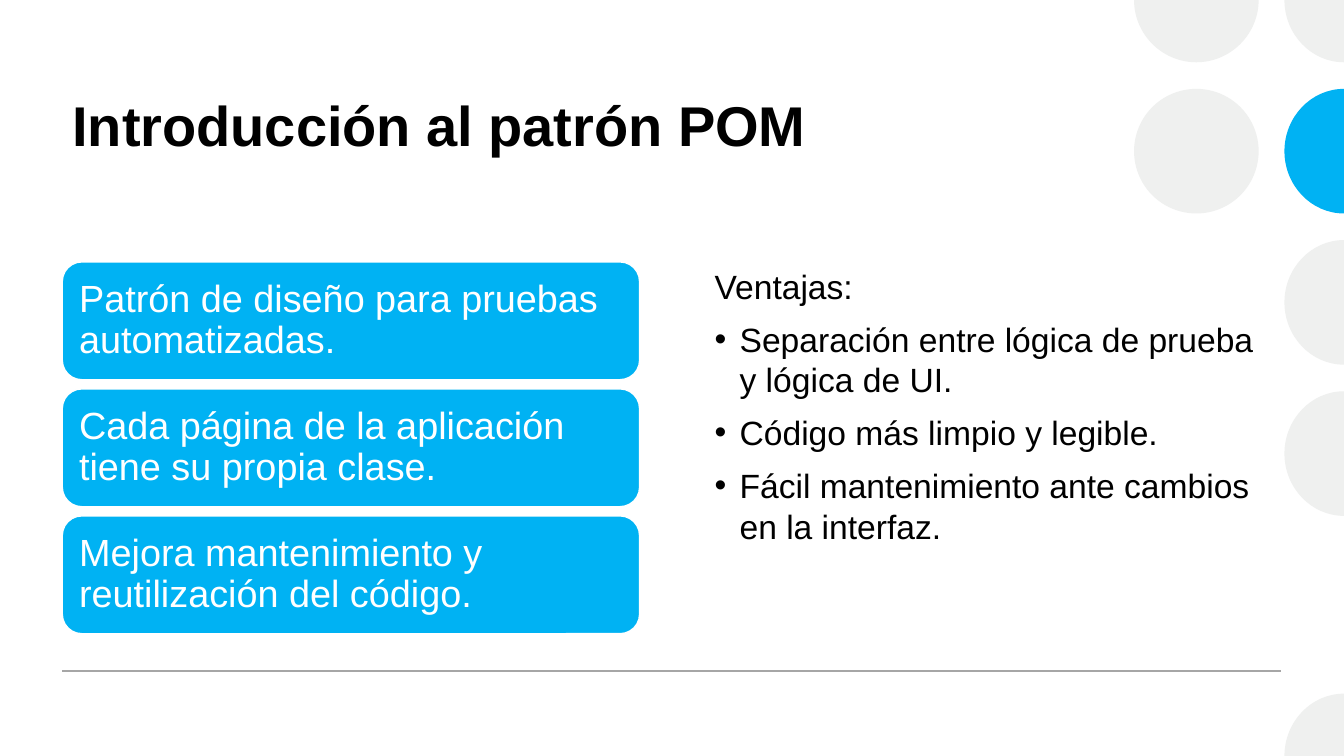
from lxml import etree
from pptx import Presentation
from pptx.dml.color import RGBColor
from pptx.enum.shapes import MSO_CONNECTOR, MSO_SHAPE
from pptx.enum.text import MSO_ANCHOR, MSO_AUTO_SIZE, PP_ALIGN
from pptx.oxml.ns import qn
from pptx.util import Cm, Pt

STRAIGHT = MSO_CONNECTOR.STRAIGHT
OVAL, ROUNDED = MSO_SHAPE.OVAL, MSO_SHAPE.ROUNDED_RECTANGLE
TOP, MIDDLE = MSO_ANCHOR.TOP, MSO_ANCHOR.MIDDLE
NO_AUTOFIT, LEFT = MSO_AUTO_SIZE.NONE, PP_ALIGN.LEFT

WIDTH, HEIGHT = 33.87, 19.05
BLACK, WHITE = "000000", "FFFFFF"
BLUE, PALE, GREY = "00B2F3", "EFF0EF", "A6A6A6"
LEFT_EDGE = 1.57
RADIUS, EDGE_RADIUS, ROW_PITCH = 1.57, 1.5, 3.81
INNER_COLUMN = 30.15
ARC_FACTOR = 0.55
UP, DOWN, LEFTWARD, RIGHTWARD = (0, -1), (0, 1), (-1, 0), (1, 0)

CARDS = [
    "Patrón de diseño para pruebas automatizadas.",
    "Cada página de la aplicación tiene su propia clase.",
    "Mejora mantenimiento y reutilización del código.",
]
ADVANTAGES = [
    "Separación entre lógica de prueba y lógica de UI.",
    "Código más limpio y legible.",
    "Fácil mantenimiento ante cambios en la interfaz.",
]


def rgb(hex_colour):
    """Return the colour for a hex string."""
    return RGBColor.from_string(hex_colour)


def apply_format(target, values):
    """Set each attribute in values on target."""
    for attribute, value in values.items():
        setattr(target, attribute, value)


def paint(shape, colour):
    """Give a shape a flat fill with no outline or shadow."""
    shape.shadow.inherit = False
    shape.fill.solid()
    shape.fill.fore_color.rgb = rgb(colour)
    shape.line.fill.background()


def write_paragraph(paragraph, text, size, colour, bold=False, **spacing):
    """Write one left-aligned paragraph in Arial."""
    paragraph.text = text
    apply_format(paragraph, {"alignment": LEFT, **spacing})
    apply_format(paragraph.font, {"name": "Arial", "size": Pt(size), "bold": bold})
    paragraph.font.color.rgb = rgb(colour)


def add_bullet(paragraph):
    """Give a paragraph a hanging round bullet."""
    properties = paragraph._p.get_or_add_pPr()
    properties.set("marL", str(Cm(0.63)))
    properties.set("indent", str(-Cm(0.63)))
    etree.SubElement(properties, qn("a:buFont")).set("typeface", "Arial")
    etree.SubElement(properties, qn("a:buChar")).set("char", "•")


def curve_lines(shape):
    """Turn each three line segments of a freeform into one Bézier curve."""
    segments = list(shape._element.iter(qn("a:lnTo")))
    for start in range(0, len(segments) - 1, 3):
        curve = etree.Element(qn("a:cubicBezTo"))
        segments[start].addprevious(curve)
        for segment in segments[start:start + 3]:
            curve.append(segment[0])
            segment.getparent().remove(segment)


def add_sector(slide, centre, radii, directions, colour):
    """Draw quarter arcs through the given directions, closed at the centre."""
    def point(across, down):
        return (Cm(centre[0] + radii[0] * across), Cm(centre[1] + radii[1] * down))

    outline = slide.shapes.build_freeform(*point(*directions[0]), scale=1.0)
    for (ax, ay), (bx, by) in zip(directions, directions[1:]):
        outline.add_line_segments([
            point(ax + ARC_FACTOR * bx, ay + ARC_FACTOR * by),
            point(bx + ARC_FACTOR * ax, by + ARC_FACTOR * ay),
            point(bx, by),
        ], close=False)
    outline.add_line_segments([point(0, 0)], close=True)
    sector = outline.convert_to_shape()
    curve_lines(sector)
    paint(sector, colour)


def add_circles(slide):
    """Draw the decorative grid of circles at the right edge."""
    whole = slide.shapes.add_shape(
        OVAL, Cm(INNER_COLUMN - RADIUS), Cm(ROW_PITCH - RADIUS),
        Cm(2 * RADIUS), Cm(2 * RADIUS))
    paint(whole, PALE)
    add_sector(slide, (INNER_COLUMN, 0), (RADIUS, RADIUS),
               (LEFTWARD, DOWN, RIGHTWARD), PALE)
    half = (UP, LEFTWARD, DOWN)
    edge_rows = {5: (half[:2], PALE), 3: (half, PALE), 2: (half, PALE),
                 1: (half, BLUE), 0: (half[1:], PALE)}
    for row, (directions, colour) in edge_rows.items():
        add_sector(slide, (WIDTH, row * ROW_PITCH), (EDGE_RADIUS, RADIUS),
                   directions, colour)


def add_footer_rule(slide):
    """Draw the thin line above the footer."""
    rule = slide.shapes.add_connector(
        STRAIGHT, Cm(LEFT_EDGE), Cm(16.91), Cm(32.28), Cm(16.91))
    rule.line.color.rgb = rgb(GREY)
    rule.line.width = Pt(1)
    etree.SubElement(rule._element.spPr, qn("a:effectLst"))


def set_title(slide, text):
    """Place and format the title placeholder."""
    title = slide.shapes.title
    apply_format(title, {"left": Cm(LEFT_EDGE), "top": Cm(2.13),
                         "width": Cm(20.37), "height": Cm(3.53)})
    apply_format(title.text_frame, {"vertical_anchor": TOP, "word_wrap": True,
                                    "auto_size": NO_AUTOFIT, "margin_top": Cm(0.15)})
    write_paragraph(title.text_frame.paragraphs[0], text, 40, BLACK, bold=True)


def add_card(slide, index, text):
    """Add one rounded card of the left column."""
    card = slide.shapes.add_shape(
        ROUNDED, Cm(LEFT_EDGE), Cm(6.6 + index * 3.2), Cm(14.55), Cm(2.97))
    paint(card, BLUE)
    card.line.color.rgb = rgb(WHITE)
    card.line.width = Pt(1)
    margins = {f"margin_{side}": Cm(0.28) for side in ("left", "top", "right", "bottom")}
    apply_format(card.text_frame,
                 {"word_wrap": True, "vertical_anchor": MIDDLE, **margins})
    write_paragraph(card.text_frame.paragraphs[0], text, 27, WHITE, line_spacing=0.9)


def add_advantages(slide, heading, advantages):
    """Add the heading and bulleted list of the right column."""
    box = slide.shapes.add_textbox(Cm(17.76), Cm(6.58), Cm(14.55), Cm(9.42))
    frame = box.text_frame
    apply_format(frame, {"word_wrap": True, "vertical_anchor": TOP})
    spacing = {"space_before": Pt(9), "line_spacing": 1.0}
    write_paragraph(frame.paragraphs[0], heading, 24, BLACK, **spacing)
    for advantage in advantages:
        paragraph = frame.add_paragraph()
        write_paragraph(paragraph, advantage, 24, BLACK, **spacing)
        add_bullet(paragraph)


def main():
    """Build and save the slide."""
    presentation = Presentation()
    apply_format(presentation, {"slide_width": Cm(WIDTH), "slide_height": Cm(HEIGHT)})
    slide = presentation.slides.add_slide(presentation.slide_layouts[5])
    add_circles(slide)
    add_footer_rule(slide)
    set_title(slide, "Introducción al patrón POM")
    for index, text in enumerate(CARDS):
        add_card(slide, index, text)
    add_advantages(slide, "Ventajas:", ADVANTAGES)
    presentation.save("out.pptx")


if __name__ == "__main__":
    main()
